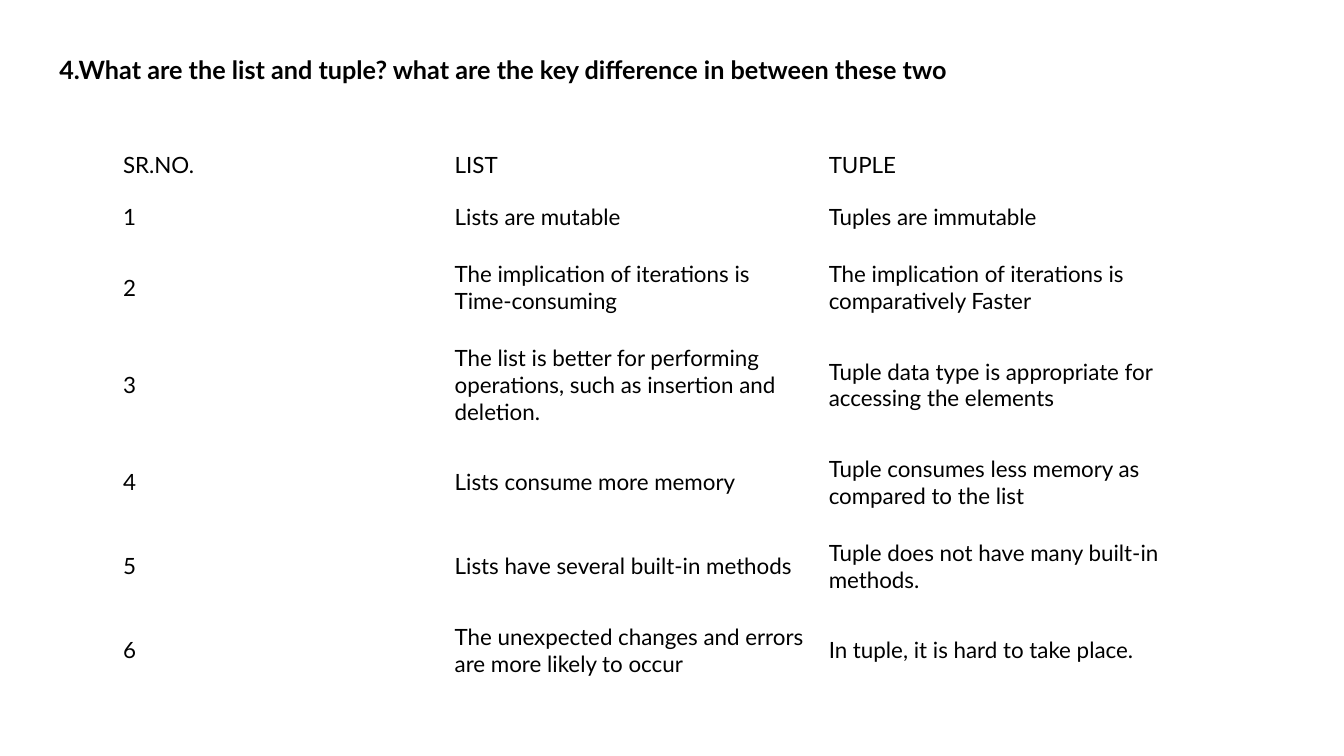
"""Builds a slide that compares Python lists and tuples in a table."""
from dataclasses import dataclass

from pptx import Presentation
from pptx.dml.color import RGBColor
from pptx.enum.text import MSO_ANCHOR, MSO_AUTO_SIZE
from pptx.util import Inches, Pt

MIDDLE = MSO_ANCHOR.MIDDLE
GROW = MSO_AUTO_SIZE.SHAPE_TO_FIT_TEXT


@dataclass(frozen=True)
class Theme:
    font: str = "Lato"
    text: RGBColor = RGBColor(0, 0, 0)
    fill: RGBColor = RGBColor(255, 255, 255)
    title_size: int = 18
    cell_size: int = 16


@dataclass(frozen=True)
class Row:
    cells: tuple[str, str, str]
    height: float = 0.67
    pad: float = 0.15


THEME = Theme()
TITLE = "4.What are the list and tuple? what are the key difference in between these two"
COLUMNS = (3.29, 3.71, 3.71)
ROWS = (
    Row(("SR.NO.", "LIST", "TUPLE"), height=0.38, pad=0.1),
    Row(("1", "Lists are mutable", "Tuples are immutable"), height=0.45),
    Row(("2", "The implication of iterations is Time-consuming",
         "The implication of iterations is comparatively Faster")),
    Row(("3", "The list is better for performing operations, such as insertion and deletion.",
         "Tuple data type is appropriate for accessing the elements"), height=0.88),
    Row(("4", "Lists consume more memory",
         "Tuple consumes less memory as compared to the list")),
    Row(("5", "Lists have several built-in methods",
         "Tuple does not have many built-in methods.")),
    Row(("6", "The unexpected changes and errors are more likely to occur",
         "In tuple, it is hard to take place.")),
)


def add_run(tf, text: str, size: int, bold: bool = False) -> None:
    r = tf.paragraphs[0].add_run()
    r.text = text
    r.font.name = THEME.font
    r.font.size = Pt(size)
    r.font.bold = bold
    r.font.color.rgb = THEME.text


def add_title(s, text: str) -> None:
    sp = s.shapes.add_textbox(Inches(0.49), Inches(0.49), Inches(12.59), Inches(0.4))
    tf = sp.text_frame
    tf.word_wrap = True
    tf.auto_size = GROW
    add_run(tf, text, THEME.title_size, bold=True)


def fill_cell(cell, text: str, pad: float) -> None:
    cell.fill.solid()
    cell.fill.fore_color.rgb = THEME.fill
    cell.vertical_anchor = MIDDLE
    cell.margin_left = cell.margin_right = Inches(0.1)
    cell.margin_top = cell.margin_bottom = Inches(pad)
    add_run(cell.text_frame, text, THEME.cell_size)


def add_comparison(s, rows: tuple[Row, ...]) -> None:
    height = sum(row.height for row in rows)
    table = s.shapes.add_table(len(rows), len(COLUMNS), Inches(1.12), Inches(1.4),
                               Inches(sum(COLUMNS)), Inches(height)).table
    table.first_row = table.horz_banding = False
    for column, width in zip(table.columns, COLUMNS):
        column.width = Inches(width)
    for table_row, row in zip(table.rows, rows):
        table_row.height = Inches(row.height)
        for cell, text in zip(table_row.cells, row.cells):
            fill_cell(cell, text, row.pad)


def main() -> None:
    prs = Presentation()
    prs.slide_width, prs.slide_height = Inches(13.33), Inches(7.5)
    s = prs.slides.add_slide(prs.slide_layouts[6])
    add_title(s, TITLE)
    add_comparison(s, ROWS)
    prs.save("out.pptx")


main()
